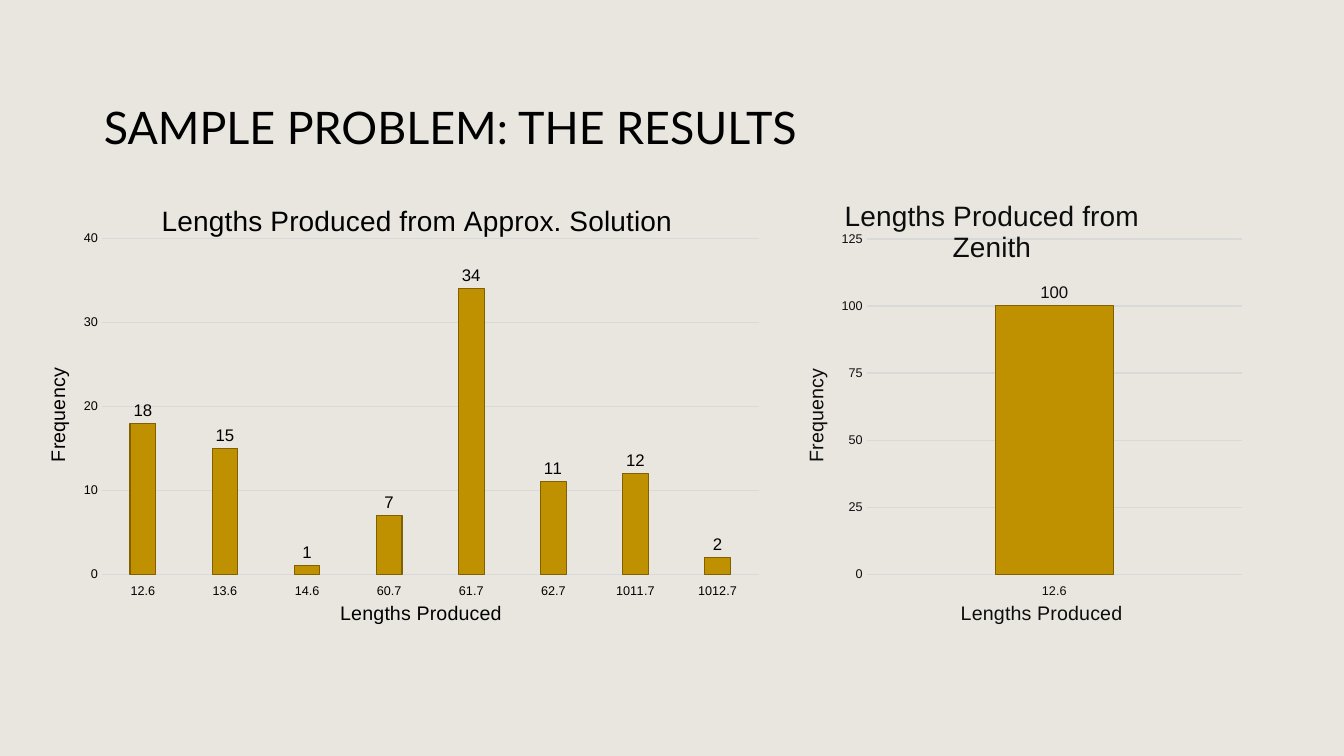
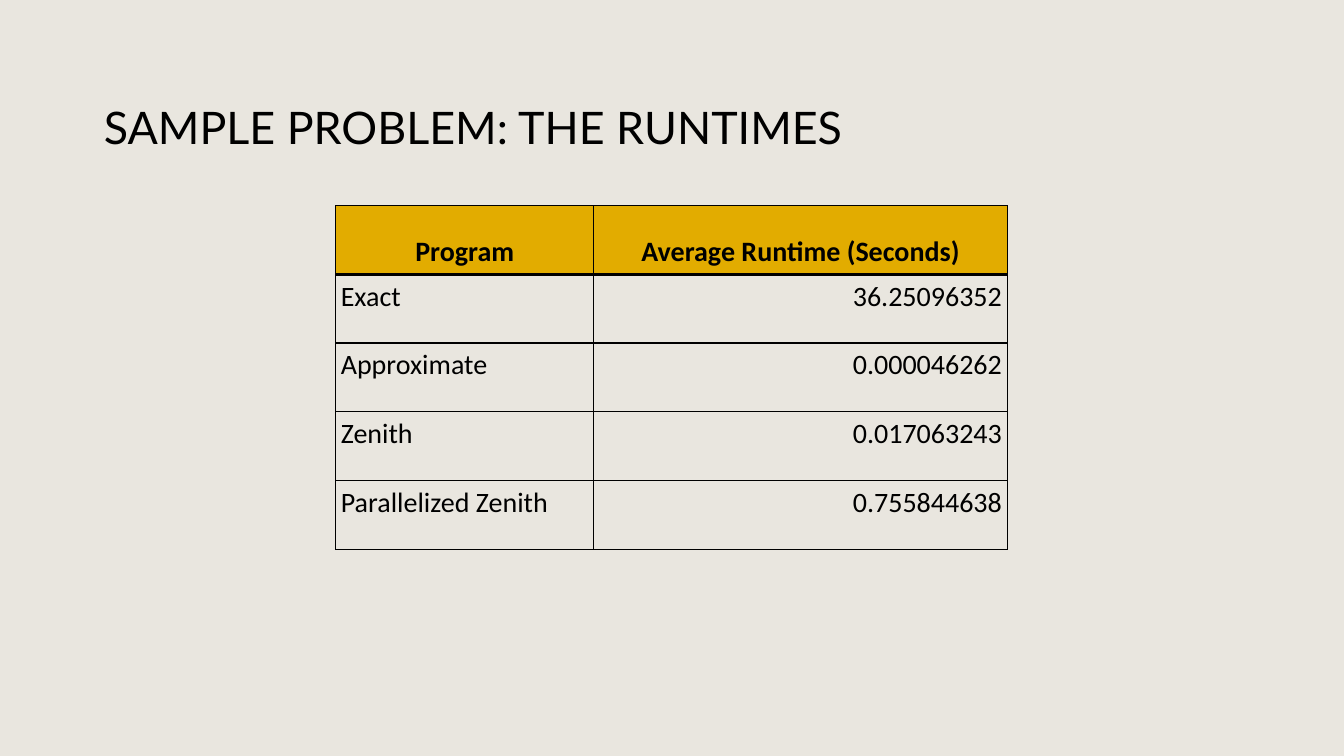
from lxml.etree import SubElement
from pptx import Presentation
from pptx.chart.data import CategoryChartData
from pptx.dml.color import RGBColor
from pptx.enum.chart import XL_CHART_TYPE, XL_LABEL_POSITION, XL_TICK_LABEL_POSITION, XL_TICK_MARK
from pptx.enum.text import MSO_ANCHOR, PP_ALIGN
from pptx.oxml import parse_xml
from pptx.oxml.ns import nsdecls, qn
from pptx.util import Inches, Pt

SAND = RGBColor(0xE9, 0xE6, 0xDF)
BLACK = RGBColor(0, 0, 0)
SOFT = RGBColor(0x0D, 0x0D, 0x0D)
GOLD = RGBColor(0xBF, 0x90, 0x00)
BROWN = RGBColor(0x80, 0x60, 0x00)
AMBER = RGBColor(0xE2, 0xAC, 0x00)
GRAY = RGBColor(0xD9, 0xD9, 0xD9)
INSET = Inches(0.05)
THIN, THICK = Pt(1), Pt(2.25)


def style(font, size, color, name="Arial", bold=False):
    font.size, font.name, font.bold = Pt(size), name, bold
    font.color.rgb = color


def write(frame, text, size, color, name="Arial", bold=False):
    run = frame.paragraphs[0].add_run()
    run.text = text
    style(run.font, size, color, name, bold)


def pad(part):
    part.margin_left = part.margin_right = INSET
    part.margin_top = part.margin_bottom = INSET


def add_slide(deck, text):
    slide = deck.slides.add_slide(deck.slide_layouts[5])
    title = slide.shapes.title
    title.left, title.top = Inches(0.98), Inches(0.47)
    title.width, title.height = Inches(10.42), Inches(1.64)
    frame = title.text_frame
    frame.word_wrap = True
    frame.vertical_anchor = MSO_ANCHOR.MIDDLE
    pad(frame)
    frame.paragraphs[0].alignment = PP_ALIGN.LEFT
    frame.paragraphs[0].line_spacing = 0.9
    write(frame, text, 32, BLACK, "Lato")
    return slide


def lay_out(part, index, inner=False, **place):
    """Give a chart part a fixed place, in fractions of the chart."""
    for old in part.findall(qn("c:layout")):
        part.remove(old)
    tags = '<c:layoutTarget val="inner"/>' if inner else ""
    tags += "".join(f'<c:{key}Mode val="edge"/>' for key in "xy")
    tags += "".join(f'<c:{key} val="{val}"/>' for key, val in place.items())
    part.insert(index, parse_xml(
        f'<c:layout {nsdecls("c")}><c:manualLayout>{tags}'
        '</c:manualLayout></c:layout>'))


def style_axis(axis, text, color):
    axis.major_tick_mark = axis.minor_tick_mark = XL_TICK_MARK.NONE
    style(axis.tick_labels.font, 9, color)
    write(axis.axis_title.text_frame, text, 14, color)


def add_bars(slide, box, head, spot, plot_box, data, top, step, color):
    source = CategoryChartData()
    source.categories = list(data)
    source.add_series("Series 1", data.values())
    chart = slide.shapes.add_chart(
        XL_CHART_TYPE.COLUMN_CLUSTERED, *map(Inches, box), source).chart
    chart.has_legend = False
    style(chart.font, 10, color, "Calibri")

    # Chart title
    title = chart.chart_title
    write(title.text_frame, head, 20, color)
    node = title._element
    lay_out(node, 1, x=spot[0], y=spot[1])
    node.find(qn("c:overlay")).set("val", "1")
    lay_out(chart._chartSpace.chart.plotArea, 0, True, **dict(zip("xywh", plot_box)))

    # Axes
    cats, vals = chart.category_axis, chart.value_axis
    style_axis(cats, "Lengths Produced", color)
    style_axis(vals, "Frequency", color)
    cats.tick_label_position = XL_TICK_LABEL_POSITION.LOW
    vals.axis_title.text_frame._txBody.bodyPr.set("rot", "-5400000")
    vals.minimum_scale, vals.maximum_scale, vals.major_unit = 0, top, step
    vals.tick_labels.number_format = "0"
    vals.tick_labels.number_format_is_linked = False
    vals.format.line.fill.background()
    for line in (cats.format.line, vals.major_gridlines.format.line):
        line.color.rgb, line.width = GRAY, THIN

    # Bars and their labels
    plot = chart.plots[0]
    plot.gap_width, plot.overlap = 219, -27
    plot.vary_by_categories = False
    bars = plot.series[0]
    bars.format.fill.solid()
    bars.format.fill.fore_color.rgb = GOLD
    bars.format.line.color.rgb = BROWN
    bars.format.line.width = Pt(0.75)
    labels = bars.data_labels
    labels.show_value = True
    labels.position = XL_LABEL_POSITION.OUTSIDE_END
    labels.number_format, labels.number_format_is_linked = "0", False
    style(labels.font, 12, color)


def add_edges(cell, over, under):
    props = cell._tc.get_or_add_tcPr()
    for side, width in zip("LRTB", (THIN, THIN, over, under)):
        line = SubElement(props, qn("a:ln" + side), w=str(int(width)))
        fill = SubElement(line, qn("a:solidFill"))
        SubElement(fill, qn("a:srgbClr"), val=str(BLACK))


def add_grid(slide, box, widths, rows):
    grid = slide.shapes.add_table(len(rows), len(widths), *map(Inches, box)).table
    grid.first_row = grid.horz_banding = False
    for col, width in zip(grid.columns, widths):
        col.width = Inches(width)
    # Rules above each row and below the last
    rules = [THIN, THICK, THICK] + [THIN] * (len(rows) - 2)
    for r, row in enumerate(rows):
        grid.rows[r].height = Inches(box[3] / len(rows))
        for c, text in enumerate(row):
            cell = grid.cell(r, c)
            pad(cell)
            add_edges(cell, rules[r], rules[r + 1])
            para = cell.text_frame.paragraphs[0]
            if r == 0:
                cell.fill.solid()
                cell.fill.fore_color.rgb = AMBER
                cell.vertical_anchor = MSO_ANCHOR.BOTTOM
                para.alignment = PP_ALIGN.CENTER
            else:
                cell.fill.background()
                cell.vertical_anchor = MSO_ANCHOR.TOP
                para.alignment = PP_ALIGN.RIGHT if c else PP_ALIGN.LEFT
            write(cell.text_frame, text, 20, BLACK, "Calibri", r == 0)


def add_results(deck):
    slide = add_slide(deck, "SAMPLE PROBLEM: THE RESULTS")
    counts = {"12.6": 18, "13.6": 15, "14.6": 1, "60.7": 7,
              "61.7": 34, "62.7": 11, "1011.7": 12, "1012.7": 2}
    add_bars(slide, (0.41, 1.88, 7.15, 4.38),
             "Lengths Produced from Approx. Solution", (0.16, 0.02),
             (0.084, 0.111, 0.911, 0.761), counts, 40, 10, BLACK)
    add_bars(slide, (7.93, 1.82, 4.41, 4.44),
             "Lengths Produced from Zenith", (0.09, 0.02),
             (0.151, 0.124, 0.844, 0.75), {"12.6": 100}, 125, 25, SOFT)


def add_times(deck):
    slide = add_slide(deck, "SAMPLE PROBLEM: THE RUNTIMES")
    add_grid(slide, (3.33, 2.04, 6.66, 3.41), (2.56, 4.1), [
        ("Program", "Average Runtime (Seconds)"),
        ("Exact", "36.25096352"),
        ("Approximate", "0.000046262"),
        ("Zenith", "0.017063243"),
        ("Parallelized Zenith", "0.755844638"),
    ])


def main():
    deck = Presentation()
    deck.slide_width, deck.slide_height = Inches(13.33), Inches(7.5)
    back = deck.slide_master.background.fill
    back.solid()
    back.fore_color.rgb = SAND
    add_results(deck)
    add_times(deck)
    deck.save("out.pptx")


if __name__ == "__main__":
    main()
